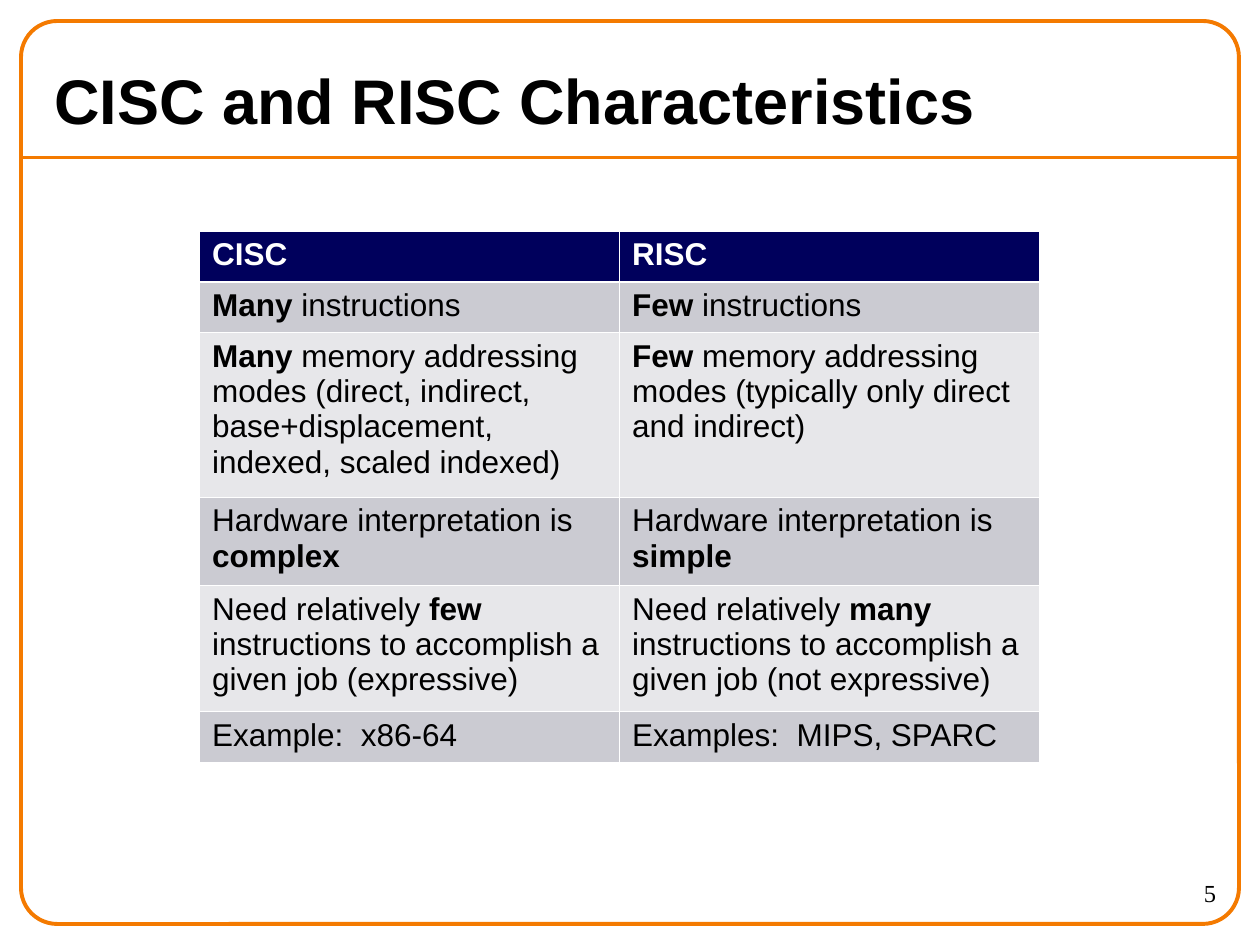
from lxml import etree
from pptx import Presentation
from pptx import util as u
from pptx.dml.color import RGBColor
from pptx.enum import shapes, text
from pptx.oxml.ns import qn

# Content: **...** marks bold words
TITLE = "CISC and RISC Characteristics"
PAGE = "5"
ROWS = [
    ("**CISC**", "**RISC**"),
    ("**Many **instructions", "**Few **instructions"),
    ("**Many **memory addressing modes (direct, indirect, base+displacement, indexed, scaled indexed)",
     "**Few **memory addressing modes (typically only direct and indirect)"),
    ("Hardware interpretation is **complex**", "Hardware interpretation is **simple**"),
    ("Need relatively **few **instructions to accomplish a given job (expressive)",
     "Need relatively **many **instructions to accomplish a given job (not expressive)"),
    ("Example:  x86-64", "Examples:  MIPS, SPARC"),
]
ROW_HEIGHTS = [29, 29, 94, 50, 72, 29]
COL_WIDTH = 240

ORANGE = RGBColor(0xF4, 0x7A, 0x00)
NAVY = RGBColor(0x00, 0x00, 0x5C)
DARK_BAND = RGBColor(0xCB, 0xCB, 0xD2)
LIGHT_BAND = RGBColor(0xE7, 0xE7, 0xEA)
BLACK = RGBColor(0, 0, 0)
WHITE = RGBColor(0xFF, 0xFF, 0xFF)


def set_font(p, name, size, color, bold=None):
    p.font.name, p.font.size, p.font.bold = name, u.Pt(size), bold
    p.font.color.rgb = color


def add_text(s, box, content, anchor, align, *font):
    tf = s.shapes.add_textbox(*map(u.Pt, box)).text_frame
    tf.word_wrap = True
    tf.vertical_anchor = anchor
    p = tf.paragraphs[0]
    p.text, p.alignment = content, align
    set_font(p, *font)


def set_borders(cell, color, **widths):
    tc_pr = cell._tc.get_or_add_tcPr()
    for side in "LRTB":
        ln = etree.SubElement(tc_pr, qn("a:ln" + side), w=str(u.Pt(widths.get(side, 0.45))))
        fill = etree.SubElement(ln, qn("a:solidFill"))
        etree.SubElement(fill, qn("a:srgbClr"), val=str(color))


prs = Presentation()
prs.slide_width, prs.slide_height = u.Pt(720), u.Pt(540)
s = prs.slides.add_slide(prs.slide_layouts[6])

# Frame and title rule
rule = s.shapes.add_connector(shapes.MSO_CONNECTOR.STRAIGHT, *map(u.Pt, (12, 90, 708, 90)))
etree.SubElement(rule._element.spPr, qn("a:effectLst"))
frame = s.shapes.add_shape(shapes.MSO_SHAPE.ROUNDED_RECTANGLE, *map(u.Pt, (12, 12, 696, 516)))
frame.adjustments[0] = 0.04
frame.shadow.inherit = False
frame.fill.background()
for sp in (rule, frame):
    sp.line.color.rgb = ORANGE
    sp.line.width = u.Pt(2.25)

# Page number and title
add_text(s, (630, 498, 72, 30), PAGE, text.MSO_ANCHOR.TOP, text.PP_ALIGN.RIGHT,
         "Times New Roman", 14, BLACK)
add_text(s, (24, 30, 672, 54), TITLE, text.MSO_ANCHOR.MIDDLE, text.PP_ALIGN.LEFT,
         "Arial", 36, BLACK, True)

# Comparison table
table = s.shapes.add_table(len(ROWS), 2, u.Pt(114), u.Pt(132),
                           u.Pt(2 * COL_WIDTH), u.Pt(sum(ROW_HEIGHTS))).table
for col in table.columns:
    col.width = u.Pt(COL_WIDTH)
for i, (row, height) in enumerate(zip(ROWS, ROW_HEIGHTS)):
    table.rows[i].height = u.Pt(height)
    header_edge = {0: {"B": 1.5}, 1: {"T": 1.5}}.get(i, {})
    for j, content in enumerate(row):
        cell = table.cell(i, j)
        set_borders(cell, WHITE, **header_edge)
        cell.fill.solid()
        cell.fill.fore_color.rgb = NAVY if i == 0 else DARK_BAND if i % 2 else LIGHT_BAND
        p = cell.text_frame.paragraphs[0]
        set_font(p, "Arial", 18, BLACK if i else WHITE)
        for k, part in enumerate(content.split("**")):
            if part:
                r = p.add_run()
                r.text = part
                r.font.name, r.font.size = "Arial", u.Pt(18)
                r.font.color.rgb = BLACK if i else WHITE
                r.font.bold = k % 2 == 1

prs.save("out.pptx")
